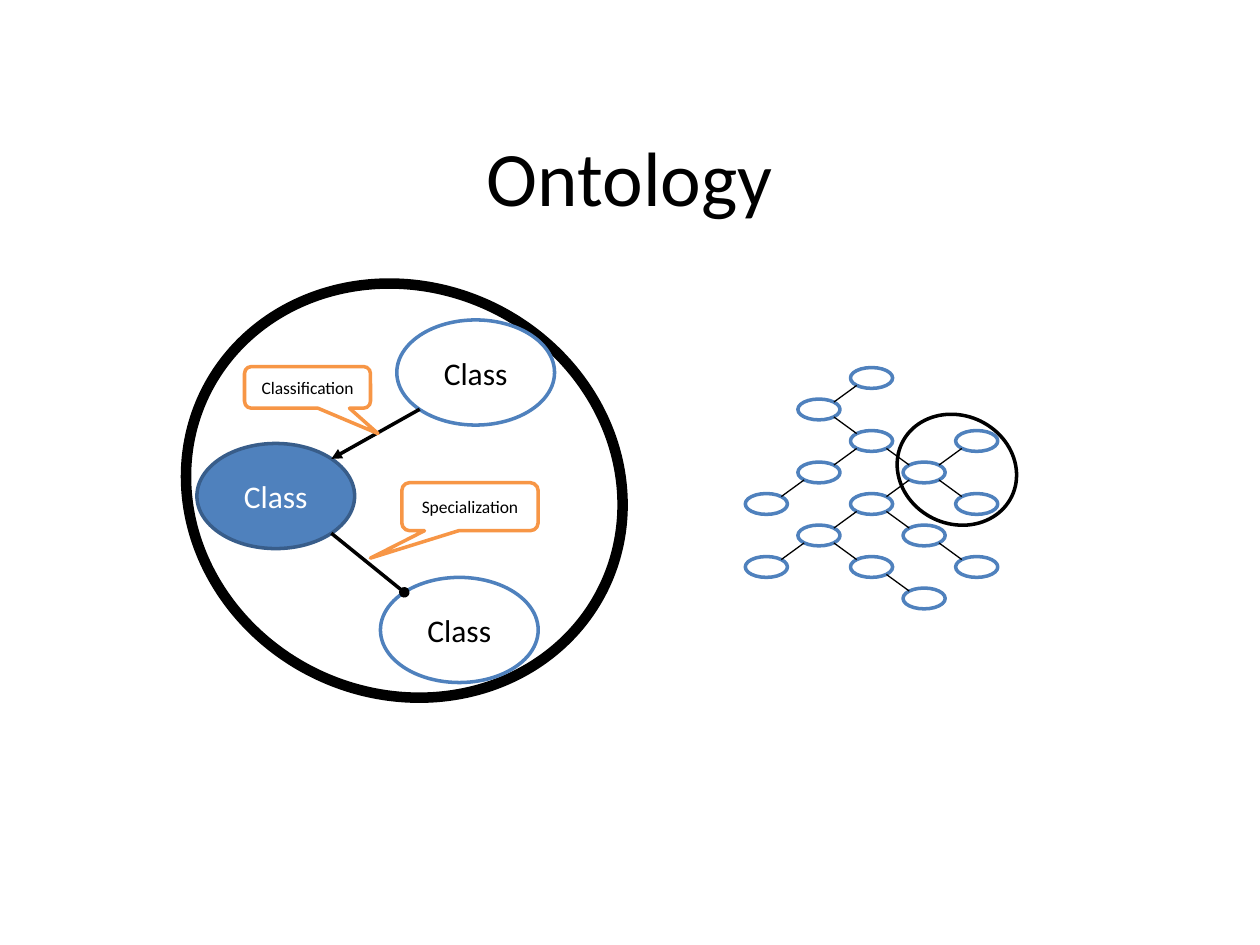
from lxml import etree
from pptx import Presentation
from pptx import util as u
from pptx.dml.color import RGBColor
from pptx.enum import shapes as kinds, text as txt
from pptx.oxml.ns import qn

BLACK = RGBColor(0x00, 0x00, 0x00)
WHITE = RGBColor(0xFF, 0xFF, 0xFF)
BLUE = RGBColor(0x4F, 0x81, 0xBD)
DARK_BLUE = RGBColor(0x38, 0x5D, 0x8A)
ORANGE = RGBColor(0xF7, 0x96, 0x46)

OVAL = kinds.MSO_SHAPE.OVAL
CALLOUT = kinds.MSO_SHAPE.ROUNDED_RECTANGULAR_CALLOUT
FRAME_FORMAT = {
    "word_wrap": True,
    "vertical_anchor": txt.MSO_ANCHOR.MIDDLE,
    "margin_left": u.Cm(0.25),
    "margin_right": u.Cm(0.25),
    "margin_top": u.Cm(0.13),
    "margin_bottom": u.Cm(0.13),
}

prs = Presentation()
prs.slide_width, prs.slide_height = u.Cm(25.4), u.Cm(19.05)
slide = prs.slides.add_slide(prs.slide_layouts[6])


def add_outlined(kind, box, line_color, weight=2, fill=WHITE):
    shape = slide.shapes.add_shape(kind, *(u.Cm(v) for v in box))
    shape.shadow.inherit = False
    shape.fill.solid()
    shape.fill.fore_color.rgb = fill
    shape.line.color.rgb = line_color
    shape.line.width = u.Pt(weight)
    return shape


def add_link(start, end, weight, head=None):
    """Draw a black line from start to end, with an optional arrowhead at end."""
    link = slide.shapes.add_connector(
        kinds.MSO_CONNECTOR.STRAIGHT, *(u.Cm(v) for v in (*start, *end)))
    link.line.color.rgb = BLACK
    link.line.width = u.Pt(weight)
    properties = link.line._get_or_add_ln().getparent()
    if head:
        etree.SubElement(properties.find(qn("a:ln")), qn("a:tailEnd"), type=head)
    etree.SubElement(properties, qn("a:effectLst"))


# Large ring around the classes, small ring around the part of the tree it shows
for box, weight in (((3.68, 5.79, 8.94, 8.2), 6), ((18.06, 8.38, 2.46, 2.18), 2)):
    add_outlined(OVAL, box, BLACK, weight).rotation = 26.1

title = slide.shapes.add_textbox(u.Cm(1.27), u.Cm(1.96), u.Cm(22.86), u.Cm(3.18))
labels = [(title, "Ontology", 44, BLACK)]

# Tree: nodes sit on a grid of (column, row), each linked to its parent
NODE_W, NODE_H = 0.85, 0.42
COLUMN_STEP, ROW_STEP = 1.06, 0.635
TREE_X, TREE_Y = 15.45, 7.62
LINK_DX, LINK_DY = 0.3, 0.15
parents = {
    (2, 0): None, (1, 1): (2, 0), (2, 2): (1, 1), (3, 3): (2, 2),
    (1, 3): (2, 2), (0, 4): (1, 3), (4, 2): (3, 3), (4, 4): (3, 3),
    (2, 4): (3, 3), (3, 5): (2, 4), (4, 6): (3, 5), (1, 5): (2, 4),
    (0, 6): (1, 5), (2, 6): (1, 5), (3, 7): (2, 6),
}
for node, parent in parents.items():
    x, y = TREE_X + node[0] * COLUMN_STEP, TREE_Y + node[1] * ROW_STEP
    add_outlined(OVAL, (x - NODE_W / 2, y - NODE_H / 2, NODE_W, NODE_H), BLUE)
    if parent:
        across, down = parent[0] - node[0], parent[1] - node[1]
        start = (x + across * LINK_DX, y + down * LINK_DY)
        end = (x + across * (COLUMN_STEP - LINK_DX), y + down * (ROW_STEP - LINK_DY))
        add_link(start, end, 0.75)

# Classes
for left, top, fill, border, color in (
    (3.97, 8.94, BLUE, DARK_BLUE, WHITE),
    (7.67, 11.64, WHITE, BLUE, BLACK),
    (8, 6.45, WHITE, BLUE, BLACK),
):
    oval = add_outlined(OVAL, (left, top, 3.18, 2.12), border, fill=fill)
    labels.append((oval, "Class", 18, color))

# Relations between the classes and their callouts
add_link((8.46, 8.25), (6.68, 9.25), 2, "triangle")
for relation, box, pointer in (
    ("Specialization", (8.1, 9.73, 2.75, 0.97), (-0.73, 1.07)),
    ("Classification", (4.93, 7.39, 2.54, 0.84), (0.56, 1.11)),
):
    callout = add_outlined(CALLOUT, box, ORANGE)
    callout.adjustments[0], callout.adjustments[1] = pointer
    labels.append((callout, relation, 10, BLACK))
add_link((6.68, 10.75), (8.15, 11.94), 2, "oval")

for holder, wording, size, color in labels:
    frame = holder.text_frame
    for name, value in FRAME_FORMAT.items():
        setattr(frame, name, value)
    paragraph = frame.paragraphs[0]
    paragraph.text = wording
    paragraph.alignment = txt.PP_ALIGN.CENTER
    for name, value in {"name": "Calibri", "size": u.Pt(size)}.items():
        setattr(paragraph.font, name, value)
    paragraph.font.color.rgb = color

prs.save("out.pptx")
